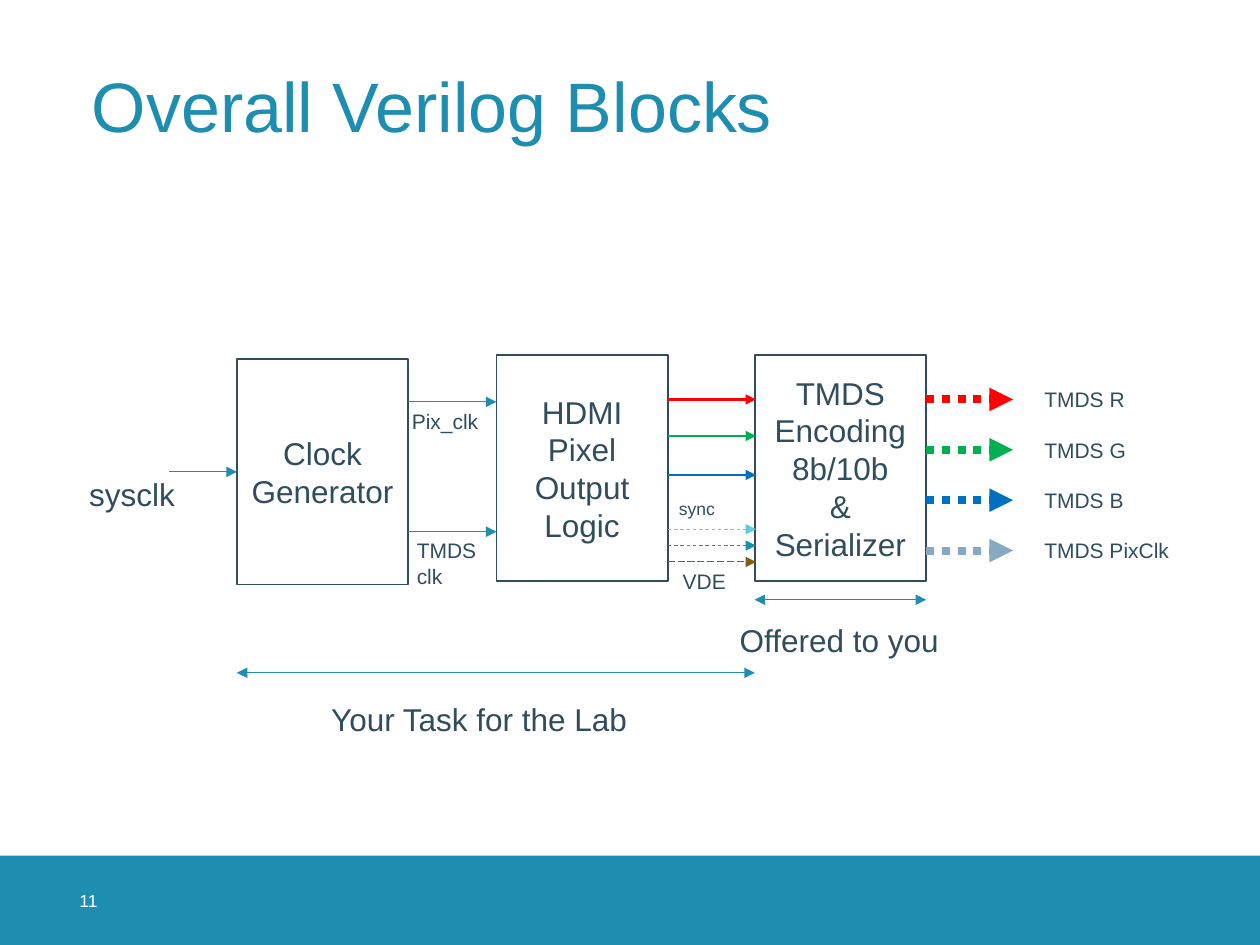
from dataclasses import dataclass
from typing import Optional

from lxml.etree import SubElement
from pptx import Presentation
from pptx.dml.color import RGBColor
from pptx.enum.dml import MSO_LINE
from pptx.enum.shapes import MSO_CONNECTOR, MSO_SHAPE
from pptx.enum.text import MSO_ANCHOR, PP_ALIGN
from pptx.oxml.ns import qn
from pptx.util import Inches, Pt

TEAL = RGBColor(0x1D, 0x8D, 0xB0)
SLATE = RGBColor(0x2F, 0x4D, 0x5D)
WHITE = RGBColor(0xFF, 0xFF, 0xFF)
RED = RGBColor(0xFF, 0x00, 0x00)
GREEN = RGBColor(0x00, 0xB0, 0x50)
BLUE = RGBColor(0x00, 0x70, 0xC0)
SKY = RGBColor(0x62, 0xC6, 0xE5)
BROWN = RGBColor(0x80, 0x5D, 0x0F)
STEEL = RGBColor(0x86, 0xAA, 0xC1)

BLOCK_WIDTH, BLOCK_HEIGHT = 1.36, 1.79
CLOCK_LEFT, PIXEL_LEFT, ENCODER_LEFT = 1.88, 3.94, 5.99
CLOCK_RIGHT, PIXEL_RIGHT, ENCODER_RIGHT = (
    left + BLOCK_WIDTH for left in (CLOCK_LEFT, PIXEL_LEFT, ENCODER_LEFT)
)
OUTPUT_TOP, OUTPUT_STEP, OUTPUT_LENGTH = 3.17, 0.4, 0.69


@dataclass
class Block:
    text: str
    left: float
    top: float


@dataclass
class Arrow:
    left: float
    right: float
    y: float
    color: RGBColor = TEAL
    width: float = 0.5
    dash: Optional[MSO_LINE] = None
    double: bool = False


@dataclass
class Label:
    text: str
    left: float
    top: float
    width: float
    height: float
    size: float
    align: PP_ALIGN = PP_ALIGN.LEFT


@dataclass
class Output:
    text: str
    color: RGBColor
    label_width: float = 0.92


BLOCKS = [
    Block("Clock Generator", CLOCK_LEFT, 2.85),
    Block("HDMI\nPixel\nOutput Logic", PIXEL_LEFT, 2.82),
    Block("TMDS\nEncoding\n8b/10b\n&\nSerializer", ENCODER_LEFT, 2.82),
]
ARROWS = [
    Arrow(CLOCK_RIGHT, PIXEL_LEFT, 3.19),
    Arrow(CLOCK_RIGHT, PIXEL_LEFT, 4.22),
    Arrow(PIXEL_RIGHT, 6, 3.17, RED, 1.5),
    Arrow(PIXEL_RIGHT, 6, 3.46, GREEN, 1.5),
    Arrow(PIXEL_RIGHT, 6, 3.77, BLUE, 1.5),
    Arrow(PIXEL_RIGHT, 6, 4.2, SKY, dash=MSO_LINE.DASH),
    Arrow(PIXEL_RIGHT, 6, 4.33, dash=MSO_LINE.DASH),
    Arrow(PIXEL_RIGHT, 6, 4.46, BROWN, dash=MSO_LINE.LONG_DASH),
    Arrow(CLOCK_LEFT, ENCODER_LEFT, 5.34, double=True),
    Arrow(ENCODER_LEFT, ENCODER_RIGHT, 4.76, double=True),
]
LABELS = [
    Label("sysclk", 0.61, 3.72, 0.9, 0.4, 18),
    Label("Pix_clk", 3.17, 3.19, 0.9, 0.3, 12),
    Label("TMDS\nclk", 3.21, 4.22, 0.9, 0.5, 12),
    Label("sync", 5.29, 3.9, 0.69, 0.27, 10),
    Label("VDE", 5.32, 4.46, 0.69, 0.3, 12),
    Label("Your Task for the Lab", 2.53, 5.51, 2.82, 0.4, 18),
    Label("Offered to you", 5.25, 4.88, 2.82, 0.4, 18, PP_ALIGN.CENTER),
]
OUTPUTS = [
    Output("TMDS R", RED),
    Output("TMDS G", GREEN),
    Output("TMDS B", BLUE),
    Output("TMDS PixClk", STEEL, 1.36),
]


def write_text(box, text: str, *, size: float, color=SLATE, align=PP_ALIGN.LEFT,
               anchor=MSO_ANCHOR.TOP, spacing=1.0, inset=None) -> None:
    frame = box.text_frame
    frame.word_wrap = True
    frame.vertical_anchor = anchor
    if inset is not None:
        frame.margin_left = frame.margin_right = Inches(inset)
        frame.margin_top = frame.margin_bottom = Inches(inset)
    for index, line in enumerate(text.split("\n")):
        para = frame.paragraphs[0] if index == 0 else frame.add_paragraph()
        para.alignment = align
        para.line_spacing = spacing
        span = para.add_run()
        span.text = line
        span.font.name = "Arial"
        span.font.size = Pt(size)
        span.font.color.rgb = color


def add_text_box(page, left: float, top: float, width: float, height: float):
    return page.shapes.add_textbox(Inches(left), Inches(top), Inches(width), Inches(height))


def add_rectangle(page, left: float, top: float, width: float, height: float, fill: RGBColor):
    box = page.shapes.add_shape(
        MSO_SHAPE.RECTANGLE, Inches(left), Inches(top), Inches(width), Inches(height)
    )
    box.shadow.inherit = False
    box.fill.solid()
    box.fill.fore_color.rgb = fill
    box.line.fill.background()
    return box


def draw_block(page, block: Block):
    box = add_rectangle(page, block.left, block.top, BLOCK_WIDTH, BLOCK_HEIGHT, WHITE)
    box.line.color.rgb = SLATE
    box.line.width = Pt(1)
    write_text(box, block.text, size=18, align=PP_ALIGN.CENTER, anchor=MSO_ANCHOR.MIDDLE)
    return box


def draw_arrow(page, arrow: Arrow):
    line = page.shapes.add_connector(
        MSO_CONNECTOR.STRAIGHT, Inches(arrow.left), Inches(arrow.y),
        Inches(arrow.right), Inches(arrow.y)
    )
    line.line.color.rgb = arrow.color
    line.line.width = Pt(arrow.width)
    if arrow.dash is not None:
        line.line.dash_style = arrow.dash
    properties = line._element.spPr
    outline = properties.find(qn("a:ln"))
    for end in ("a:headEnd", "a:tailEnd") if arrow.double else ("a:tailEnd",):
        SubElement(outline, qn(end), type="triangle")
    SubElement(properties, qn("a:effectLst"))
    return line


def draw_label(page, label: Label) -> None:
    box = add_text_box(page, label.left, label.top, label.width, label.height)
    write_text(box, label.text, size=label.size, align=label.align)


def draw_output(page, output: Output, y: float) -> None:
    draw_arrow(page, Arrow(ENCODER_RIGHT, ENCODER_RIGHT + OUTPUT_LENGTH, y,
                           output.color, 4.5, MSO_LINE.ROUND_DOT))
    draw_label(page, Label(output.text, 8.19, y - 0.15, output.label_width, 0.3, 12))


def main() -> None:
    """Build the slide of Verilog blocks and save it."""
    deck = Presentation()
    deck.slide_width, deck.slide_height = Inches(10), Inches(7.5)
    page = deck.slides.add_slide(deck.slide_layouts[6])

    add_rectangle(page, 0, 6.79, 10, 0.71, TEAL)
    write_text(add_text_box(page, 0.63, 0.24, 8.74, 1.26), "Overall Verilog Blocks",
               size=40, color=TEAL, anchor=MSO_ANCHOR.MIDDLE, spacing=0.9)
    write_text(add_text_box(page, 0.63, 6.79, 0.71, 0.71), "11",
               size=10, color=WHITE, anchor=MSO_ANCHOR.MIDDLE, inset=0)

    clock, *_ = [draw_block(page, block) for block in BLOCKS]
    system_clock = draw_arrow(page, Arrow(1.34, CLOCK_LEFT, 2.85 + BLOCK_HEIGHT / 2))
    system_clock.end_connect(clock, 1)
    for arrow in ARROWS:
        draw_arrow(page, arrow)
    for index, output in enumerate(OUTPUTS):
        draw_output(page, output, OUTPUT_TOP + index * OUTPUT_STEP)
    for label in LABELS:
        draw_label(page, label)

    deck.save("out.pptx")


if __name__ == "__main__":
    main()
